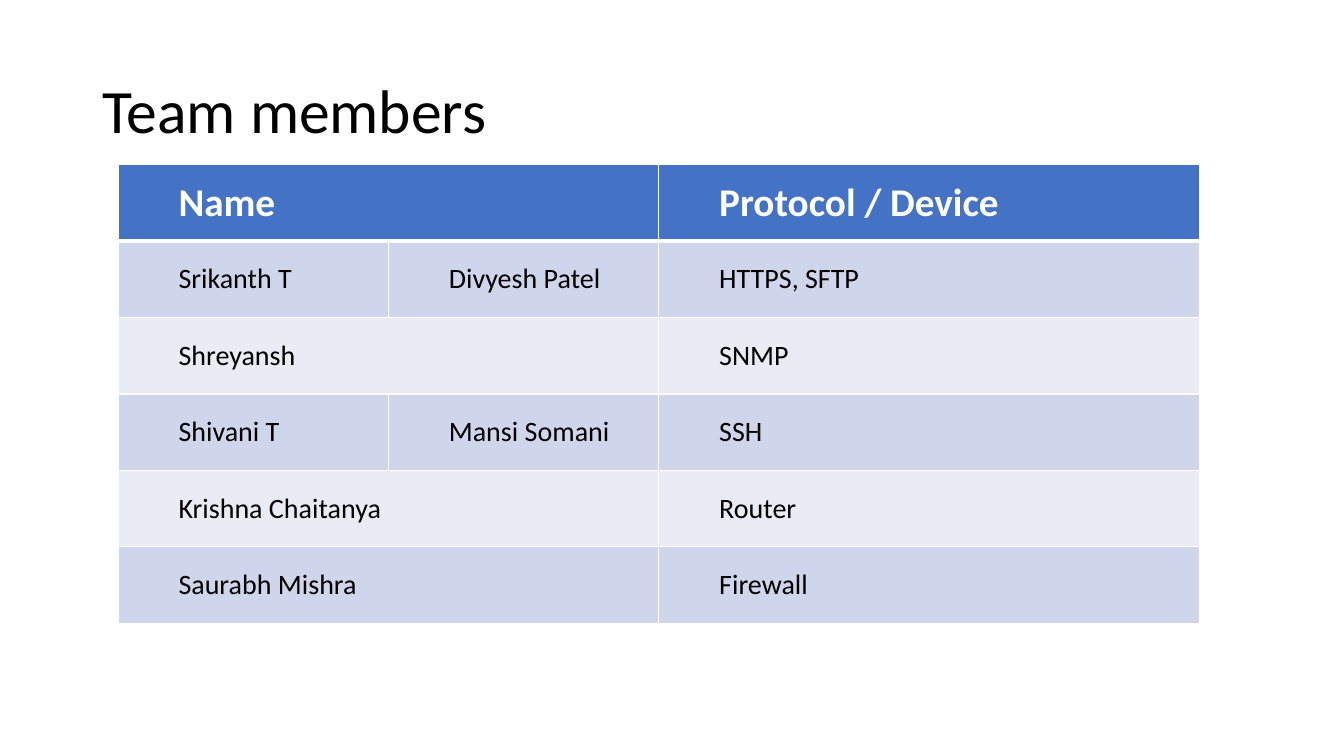
from lxml.etree import SubElement as Sub
from pptx import Presentation
from pptx.dml.color import RGBColor
from pptx.enum.text import MSO_ANCHOR as Anchor
from pptx.oxml.ns import qn
from pptx.util import Pt

ROWS = [
    ("Name", None, "Protocol / Device"),
    ("Srikanth T", "Divyesh Patel", "HTTPS, SFTP"),
    ("Shreyansh", None, "SNMP"),
    ("Shivani T", "Mansi Somani", "SSH"),
    ("Krishna Chaitanya", None, "Router"),
    ("Saurabh Mishra", None, "Firewall"),
]
SHARES = (1, 1, 2)
HEAD, BANDS = "4472C4", ("E9EBF5", "CFD5EA")


def paint(color, code):
    color.rgb = RGBColor.from_string(code)


def style(para, size, code, bold=False):
    font = para.runs[0].font
    font.name, font.size, font.bold = "Calibri", Pt(size), bold
    paint(font.color, code)


def border(cell, widths):
    # Borders must come before the fill in the cell properties
    props = cell._tc.get_or_add_tcPr()
    for spot, (side, width) in enumerate(widths.items()):
        line = Sub(props, qn(f"a:ln{side}"), w=str(Pt(width)))
        fill = Sub(line, qn("a:solidFill"))
        Sub(fill, qn("a:srgbClr"), val="FFFFFF")
        props.insert(spot, line)


def add_title(slide, text, left, top, width, height):
    frame = slide.shapes.add_textbox(
        Pt(left), Pt(top), Pt(width), Pt(height)).text_frame
    frame.word_wrap = True
    frame.vertical_anchor = Anchor.MIDDLE
    frame.text = text
    para = frame.paragraphs[0]
    para.line_spacing = 0.9
    style(para, 44, "000000")


def fill_cell(cell, text, head, band):
    cell.fill.solid()
    paint(cell.fill.fore_color, HEAD if head else band)
    border(cell, {"L": 1, "R": 1, "T": 1, "B": 3 if head else 1})
    cell.vertical_anchor = Anchor.MIDDLE
    if text is None:
        return
    cell.text_frame.text = text
    para = cell.text_frame.paragraphs[0]
    para.level = 1
    props = para._p.get_or_add_pPr()
    props.set("marL", str(Pt(36)))
    props.set("indent", "0")
    style(para, 28 if head else 20, "FFFFFF" if head else "000000", head)


def add_team(slide, left, top, width, height):
    table = slide.shapes.add_table(
        len(ROWS), len(SHARES), Pt(left), Pt(top), Pt(width), Pt(height)).table
    for col, share in zip(table.columns, SHARES):
        col.width = Pt(width * share / sum(SHARES))
    for r, row in enumerate(ROWS):
        table.rows[r].height = Pt(height / len(ROWS))
        for c, text in enumerate(row):
            fill_cell(table.cell(r, c), text, r == 0, BANDS[r % 2])
        # A single member spans both name columns
        if row[1] is None:
            table.cell(r, 0).merge(table.cell(r, 1))


def main():
    deck = Presentation()
    deck.slide_width, deck.slide_height = Pt(960), Pt(540)
    slide = deck.slides.add_slide(deck.slide_layouts[6])
    add_title(slide, "Team members", 66, 28.8, 828, 104.4)
    add_team(slide, 84.3, 117.6, 772.6, 327.6)
    deck.save("out.pptx")


if __name__ == "__main__":
    main()
